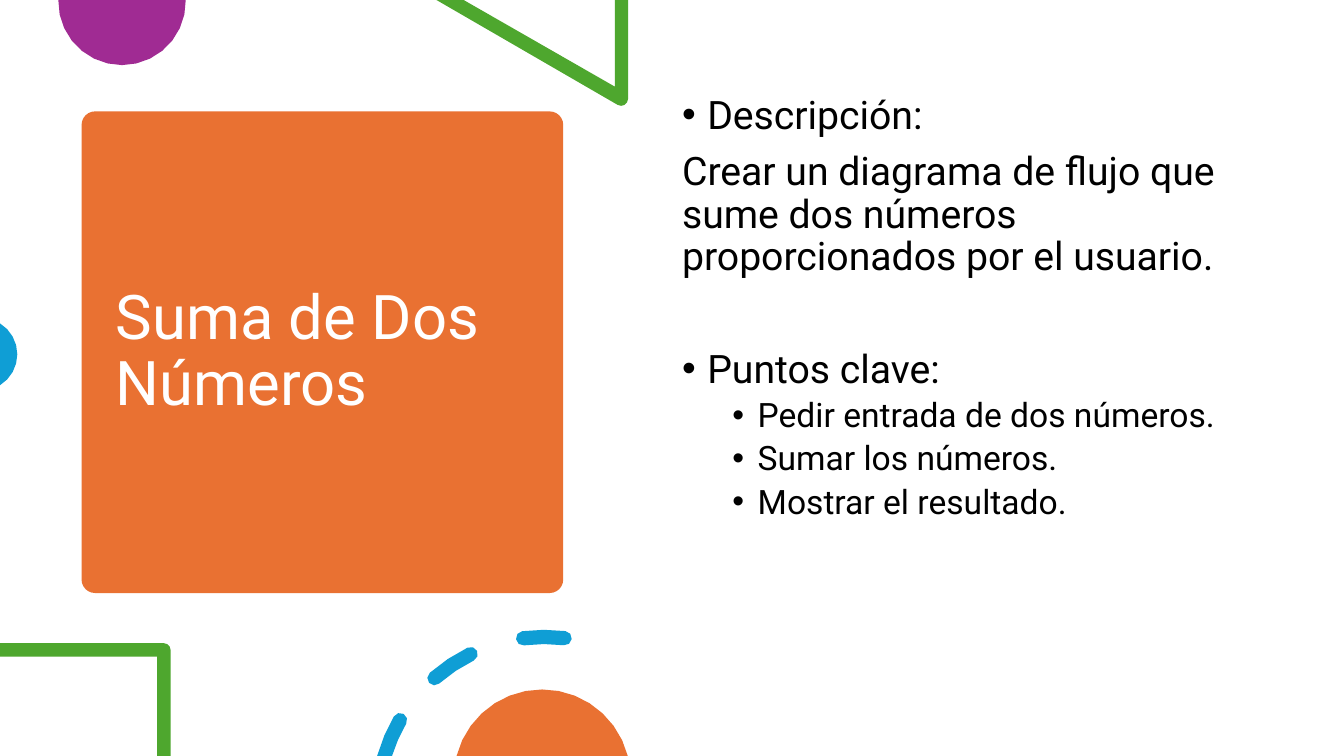
"""Build the "Suma de Dos Números" slide with its geometric decorations."""

from dataclasses import dataclass
from math import cos, radians, sin

from lxml import etree
from pptx import Presentation
from pptx.dml.color import RGBColor
from pptx.enum.shapes import MSO_SHAPE
from pptx.enum.text import MSO_ANCHOR, MSO_AUTO_SIZE, PP_ALIGN
from pptx.oxml.ns import qn
from pptx.util import Pt

ROUNDED = MSO_SHAPE.ROUNDED_RECTANGLE
MIDDLE, TOP = MSO_ANCHOR.MIDDLE, MSO_ANCHOR.TOP
NO_AUTOFIT = MSO_AUTO_SIZE.NONE
LEFT = PP_ALIGN.LEFT
PAGE_WIDTH, PAGE_HEIGHT = 960, 540

Point = tuple[float, float]
Contour = list[Point]


@dataclass(frozen=True)
class Theme:
    font: str = "Roboto"
    title_size: float = 44
    text_size: float = 28
    detail_size: float = 24
    white: str = "FFFFFF"
    black: str = "000000"
    orange: str = "E97132"
    purple: str = "A02B93"
    green: str = "4EA72E"
    blue: str = "0F9ED5"


@dataclass(frozen=True)
class Decoration:
    colour: str
    contours: list[Contour]


@dataclass(frozen=True)
class Dash:
    start: float
    end: float
    slant: float = 0


@dataclass(frozen=True)
class BodyLine:
    text: str
    level: int = 0
    bullet: bool = True
    space_before: float = 10


THEME = Theme()


def polar(centre: Point, radius: float, angle: float) -> Point:
    return (centre[0] + radius * cos(radians(angle)), centre[1] + radius * sin(radians(angle)))


def arc(centre: Point, radius: float, start: float, end: float, steps: int) -> Contour:
    return [polar(centre, radius, start + (end - start) * step / steps)
            for step in range(steps + 1)]


def ring_dash(centre: Point, radius: float, width: float, dash: Dash) -> Contour:
    half = width / 2
    end_cap = arc(polar(centre, radius, dash.end), half, dash.end, dash.end + 180, 4)
    outline = (
        arc(centre, radius + half, dash.start, dash.end, 2)
        + end_cap[1:-1]
        + arc(centre, radius - half, dash.end, dash.start + dash.slant, 2)
    )
    if dash.slant:
        return outline
    start_cap = arc(polar(centre, radius, dash.start), half, dash.start + 180, dash.start + 360, 4)
    return outline + start_cap[1:-1]


DASHES = [Dash(-164.05, -149.9, slant=1.47), Dash(-131.2, -116.2), Dash(-97.3, -83)]
PURPLE_CIRCLE = Decoration(THEME.purple, [arc((87.2, 1), 45.5, -1.2, 181.2, 14)])
GREEN_TRIANGLE = Decoration(THEME.green, [
    [(448.6, 0), (439.2, 0), (439.2, 61.9), (331.2, 0), (311.8, 0)]
    + arc((443.7, 70.7), 4.9, 120, 0, 4)
])
BLUE_CIRCLE = Decoration(THEME.blue, [arc((-13.5, 253.1), 25.9, -58.5, 58.5, 8)])
GREEN_FRAME = Decoration(THEME.green, [
    [(0, 459.4), (0, 469.1), (112.3, 469.1), (112.3, 540), (121.9, 540)]
    + arc((117, 464.3), 4.9, 0, -90, 3)
])
BLUE_RING = Decoration(THEME.blue, [
    ring_dash((388.8, 574.1), 119.1, 10.2, dash) for dash in DASHES
])
ORANGE_CIRCLE = Decoration(THEME.orange, [arc((387.3, 555.6), 63.1, -165.6, -14.4, 14)])
DECORATIONS = [
    PURPLE_CIRCLE, GREEN_TRIANGLE, BLUE_CIRCLE, GREEN_FRAME, BLUE_RING, ORANGE_CIRCLE,
]
BODY_LINES = [
    BodyLine("Descripción:"),
    BodyLine("Crear un diagrama de flujo que sume dos números proporcionados por el usuario.",
             bullet=False),
    BodyLine("Puntos clave:", space_before=50.2),
    BodyLine("Pedir entrada de dos números.", level=1, space_before=5),
    BodyLine("Sumar los números.", level=1, space_before=5),
    BodyLine("Mostrar el resultado.", level=1, space_before=5),
]


def paint(shape, colour: str) -> None:
    shape.shadow.inherit = False
    shape.fill.solid()
    shape.fill.fore_color.rgb = RGBColor.from_string(colour)
    shape.line.fill.background()


def place(shape, left: float, top: float, width: float, height: float) -> None:
    shape.left, shape.top, shape.width, shape.height = map(Pt, (left, top, width, height))


def on_page(point: Point) -> tuple[int, int]:
    x, y = point
    return Pt(min(max(x, 0), PAGE_WIDTH)), Pt(min(max(y, 0), PAGE_HEIGHT))


def draw_decoration(page, decoration: Decoration) -> None:
    contours = [[on_page(point) for point in contour] for contour in decoration.contours]
    builder = page.shapes.build_freeform(*contours[0][0])
    for index, contour in enumerate(contours):
        if index:
            builder.move_to(*contour[0])
        builder.add_line_segments(contour[1:], close=True)
    paint(builder.convert_to_shape(), decoration.colour)


def style_paragraph(para, size: float, colour: str) -> None:
    para.alignment = LEFT
    para.line_spacing = 0.9
    para.font.name = THEME.font
    para.font.size = Pt(size)
    para.font.color.rgb = RGBColor.from_string(colour)


def set_bullet(para, line: BodyLine) -> None:
    properties = para._p.get_or_add_pPr()
    indent = 18 if line.bullet else 0
    properties.set("marL", str(Pt(indent + 36 * line.level)))
    properties.set("indent", str(Pt(-indent)))
    if line.bullet:
        etree.SubElement(properties, qn("a:buFont")).set("typeface", "Arial")
        etree.SubElement(properties, qn("a:buChar")).set("char", "•")
    else:
        etree.SubElement(properties, qn("a:buNone"))


def write_title(page) -> None:
    title = page.shapes.title
    card = page.shapes.add_shape(ROUNDED, Pt(58.3), Pt(79.6), Pt(344), Pt(344))
    card.adjustments[0] = 0.028
    paint(card, THEME.orange)
    title.element.addprevious(card.element)
    place(title, 75.5, 87.8, 310.3, 328.3)
    frame = title.text_frame
    frame.text = "Suma de Dos Números"
    frame.auto_size = NO_AUTOFIT
    frame.word_wrap = True
    frame.vertical_anchor = MIDDLE
    style_paragraph(frame.paragraphs[0], THEME.title_size, THEME.white)


def write_body(page) -> None:
    body = page.placeholders[1]
    place(body, 480, 64.6, 414, 385.2)
    frame = body.text_frame
    frame.auto_size = NO_AUTOFIT
    frame.word_wrap = True
    frame.vertical_anchor = TOP
    frame.text = "\n".join(line.text for line in BODY_LINES)
    for para, line in zip(frame.paragraphs, BODY_LINES):
        para.level = line.level
        style_paragraph(para, THEME.detail_size if line.level else THEME.text_size, THEME.black)
        para.space_before = Pt(line.space_before)
        set_bullet(para, line)


def main() -> None:
    deck = Presentation()
    deck.slide_width, deck.slide_height = Pt(PAGE_WIDTH), Pt(PAGE_HEIGHT)
    page = deck.slides.add_slide(deck.slide_layouts[1])
    page.background.fill.solid()
    page.background.fill.fore_color.rgb = RGBColor.from_string(THEME.white)
    write_title(page)
    write_body(page)
    for decoration in DECORATIONS:
        draw_decoration(page, decoration)
    deck.save("out.pptx")


if __name__ == "__main__":
    main()
